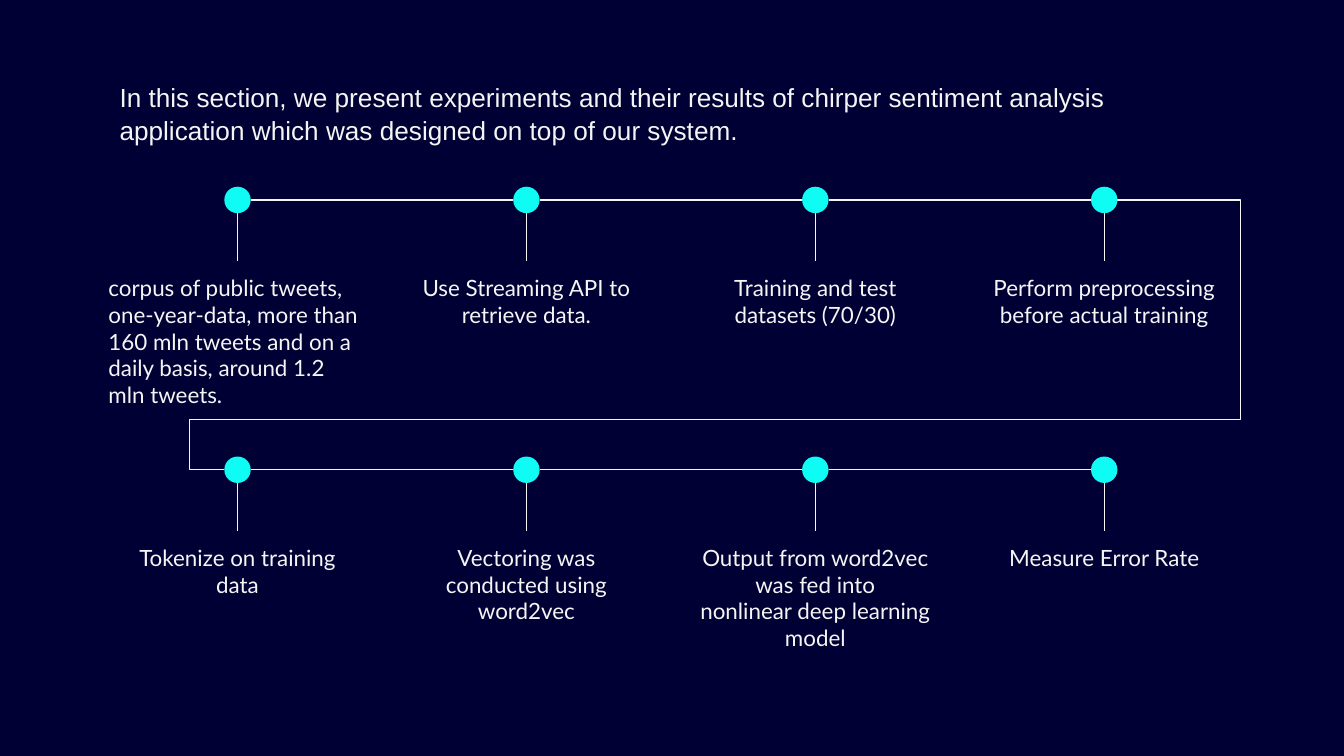
import pptx
import pptx.util
import pptx.dml.color
import pptx.enum.shapes
import pptx.enum.text
import pptx.oxml.ns
import lxml.etree

Cm, Pt = pptx.util.Cm, pptx.util.Pt
qn = pptx.oxml.ns.qn
rgb = pptx.dml.color.RGBColor.from_string
connector_kinds = pptx.enum.shapes.MSO_CONNECTOR
alignments = pptx.enum.text.PP_ALIGN
colors = {"background": "000034", "ink": "F5F5F5", "dot": "0FFCF4"}

deck = pptx.Presentation()
deck.slide_width, deck.slide_height = Cm(25.4), Cm(14.29)
slide = deck.slides.add_slide(deck.slide_layouts[6])
slide.background.fill.solid()
slide.background.fill.fore_color.rgb = rgb(colors["background"])


def add_text(left, top, width, height, text, font, size, align):
    frame = slide.shapes.add_textbox(Cm(left), Cm(top), Cm(width), Cm(height)).text_frame
    frame.word_wrap = True
    frame.margin_left = frame.margin_right = Cm(0.25)
    frame.margin_top = frame.margin_bottom = Cm(0.25)
    frame.text = text
    for paragraph in frame.paragraphs:
        paragraph.alignment = align
        for run in paragraph.runs:
            run.font.name, run.font.size = font, Pt(size)
            run.font.color.rgb = rgb(colors["ink"])
    return frame


def add_line(x1, y1, x2, y2, kind=connector_kinds.STRAIGHT):
    line = slide.shapes.add_connector(kind, Cm(x1), Cm(y1), Cm(x2), Cm(y2))
    line.line.color.rgb = rgb(colors["ink"])
    line.line.width = Pt(0.75)
    lxml.etree.SubElement(line._element.spPr, qn("a:effectLst"))
    return line


# Introduction
intro = add_text(
    2.01, 1.24, 21.41, 1.6,
    "In this section, we present experiments and their results of chirper sentiment "
    "analysis application which was designed on top of our system.",
    "Arial", 14, alignments.LEFT)
intro.paragraphs[0].line_spacing = 1.07

# Timeline: two rows of four steps
first_x, pitch, radius = 4.49, 5.46, 0.25
row_ys = [3.78, 8.88]
stem_end = 1.15
steps = [
    ["corpus of public tweets, one-year-data, more than 160 mln tweets and on a "
     "daily basis, around 1.2 mln tweets.",
     "Use Streaming API to retrieve data.",
     "Training and test datasets (70/30)",
     "Perform preprocessing before actual training"],
    ["Tokenize on training data",
     "Vectoring was conducted using\nword2vec",
     "Output from word2vec was fed into\nnonlinear deep learning model",
     "Measure Error Rate"],
]

for row, (y, captions) in enumerate(zip(row_ys, steps)):
    for column, caption in enumerate(captions):
        x = first_x + column * pitch
        dot = slide.shapes.add_shape(
            pptx.enum.shapes.MSO_SHAPE.OVAL,
            Cm(x - radius), Cm(y - radius), Cm(2 * radius), Cm(2 * radius))
        dot.shadow.inherit = False
        dot.fill.solid()
        dot.fill.fore_color.rgb = rgb(colors["dot"])
        dot.line.fill.background()

        add_line(x, y + radius, x, y + stem_end)
        if column < len(captions) - 1:
            add_line(x + radius, y, x + pitch - radius, y)

        # The long first caption is wider and left-aligned
        if row == column == 0:
            add_text(1.8, y + stem_end, 5.38, 2.82, caption, "Lato", 12, alignments.LEFT)
        else:
            add_text(x - 2.51, y + stem_end, 5.02, 2.36, caption, "Lato", 12,
                     alignments.CENTER)

# Bent line from the end of the first row to the start of the second
last_x = first_x + 3 * pitch
turn = add_line(last_x + radius, row_ys[0], first_x - radius, row_ys[1],
                connector_kinds.ELBOW)
geometry = turn._element.spPr.find(qn("a:prstGeom"))
geometry.set("prst", "bentConnector5")
adjustments = geometry.find(qn("a:avLst"))
for number, value in enumerate([-13800, 81300, 103900], start=1):
    lxml.etree.SubElement(adjustments, qn("a:gd"), name=f"adj{number}", fmla=f"val {value}")

deck.save("out.pptx")
